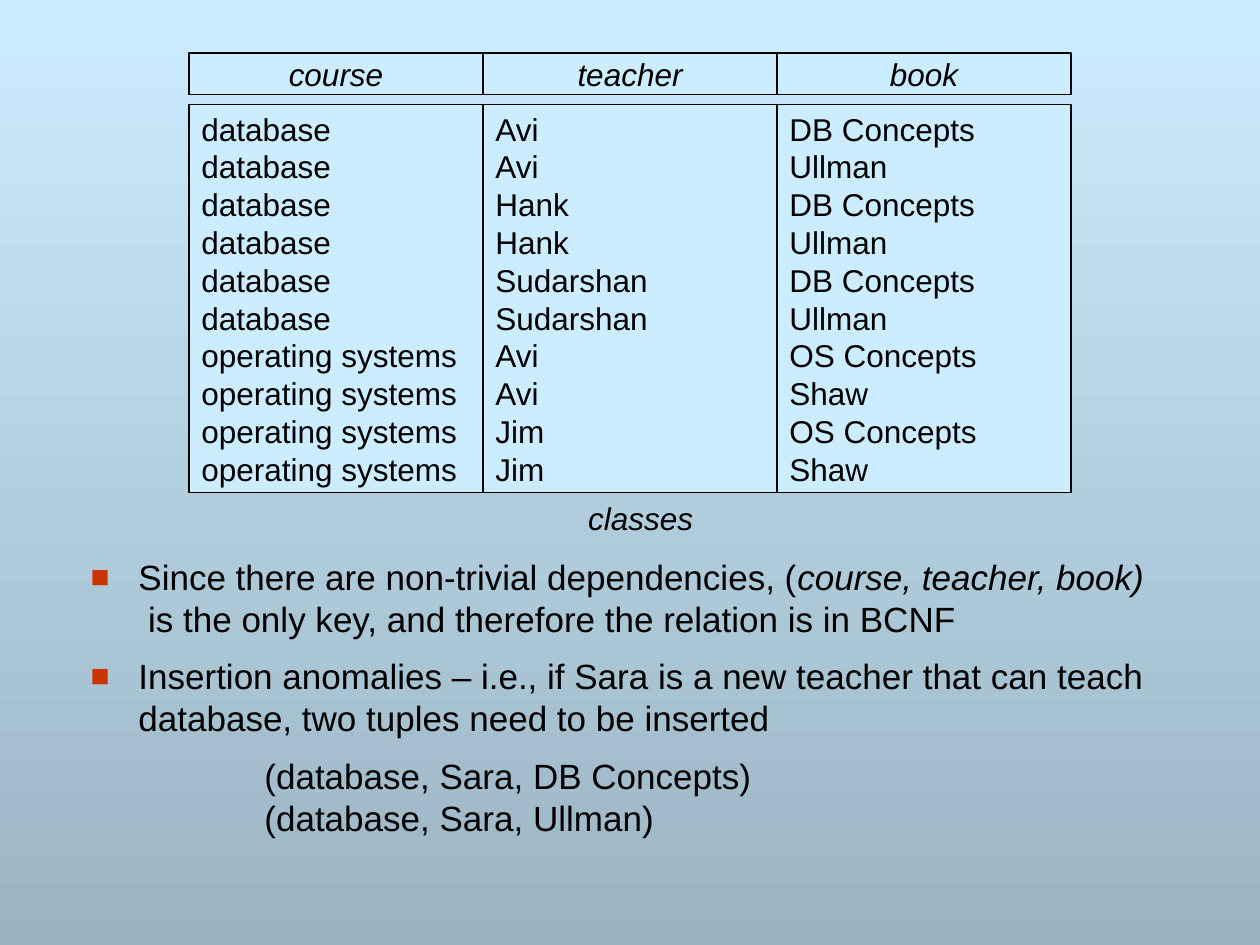
from lxml.etree import SubElement
from pptx import Presentation
from pptx.dml.color import RGBColor as RGB
from pptx.enum.shapes import MSO_SHAPE as Shape
from pptx.enum.text import MSO_ANCHOR as Anchor, PP_ALIGN as Align
from pptx.oxml.ns import qn
from pptx.util import Inches, Pt

THEME = {
    "font": "Arial", "cell": 18, "body": 20,
    "ink": "000000", "pale": "CCECFF", "deep": "9BB4C2", "mark": "CC3300",
}

HEADS = ["course", "teacher", "book"]
DB, OS = "database", "operating systems"
ROWS = [
    (DB, "Avi", "DB Concepts"),
    (DB, "Avi", "Ullman"),
    (DB, "Hank", "DB Concepts"),
    (DB, "Hank", "Ullman"),
    (DB, "Sudarshan", "DB Concepts"),
    (DB, "Sudarshan", "Ullman"),
    (OS, "Avi", "OS Concepts"),
    (OS, "Avi", "Shaw"),
    (OS, "Jim", "OS Concepts"),
    (OS, "Jim", "Shaw"),
]
CAPTION = "classes"

# Each point: whether it has a bullet, then its lines of (text, italic) runs
POINTS = [
    (True, [[("Since there are non-trivial dependencies, (", False),
             ("course, teacher, book) ", True),
             (" is the only key, and therefore the relation is in BCNF", False)]]),
    (True, [[("Insertion anomalies – i.e., if Sara is a new teacher that can "
              "teach database, two tuples need to be inserted", False)]]),
    (False, [[("(database, Sara, DB Concepts)", False)],
             [("(database, Sara, Ullman)", False)]]),
]

LEFT, WIDTH = 1.5, 7 / 3
HEAD_TOP, HEAD_HIGH = 0.42, 0.33
ROWS_TOP, ROWS_HIGH = 0.83, 3.08
HANG, DEEP = 0.38, 1.38


def color(name):
    return RGB.from_string(THEME[name])


def style(run, size, italic=False):
    font = run.font
    font.name, font.size, font.italic = THEME["font"], Pt(THEME[size]), italic
    font.color.rgb = color("ink")


def add_cell(slide, col, top, high, text, head=False):
    box = slide.shapes.add_shape(
        Shape.RECTANGLE, Inches(LEFT + col * WIDTH), Inches(top),
        Inches(WIDTH), Inches(high))
    box.shadow.inherit = False
    box.fill.solid()
    box.fill.fore_color.rgb = color("pale")
    box.line.color.rgb = color("ink")
    box.line.width = Pt(0.75)
    frame = box.text_frame
    frame.word_wrap = True
    frame.vertical_anchor = Anchor.MIDDLE
    frame.text = text
    for para in frame.paragraphs:
        para.alignment = Align.CENTER if head else Align.LEFT
        style(para.runs[0], "cell", head)


def indent(para, bullet):
    props = para._p.get_or_add_pPr()
    props.set("marL", str(Inches(HANG if bullet else DEEP)))
    props.set("indent", str(Inches(-HANG if bullet else 0)))
    if bullet:
        tint = SubElement(props, qn("a:buClr"))
        SubElement(tint, qn("a:srgbClr"), val=THEME["mark"])
        SubElement(props, qn("a:buSzPct"), val="90000")
        SubElement(props, qn("a:buFont"), typeface=THEME["font"])
        SubElement(props, qn("a:buChar"), char="■")


def add_points(slide):
    box = slide.shapes.add_textbox(
        Inches(0.62), Inches(4.36), Inches(8.58), Inches(2.53))
    frame = box.text_frame
    frame.word_wrap = True
    for i, (bullet, lines) in enumerate(POINTS):
        para = frame.add_paragraph() if i else frame.paragraphs[0]
        para.space_before = Pt(8.8)
        indent(para, bullet)
        for j, runs in enumerate(lines):
            if j:
                para.add_line_break()
            for text, italic in runs:
                run = para.add_run()
                run.text = text
                style(run, "body", italic)


def add_label(slide):
    wide = 1.1
    box = slide.shapes.add_textbox(
        Inches(4.57), Inches(ROWS_TOP + ROWS_HIGH), Inches(wide), Inches(0.4))
    frame = box.text_frame
    frame.word_wrap = True
    frame.text = CAPTION
    style(frame.paragraphs[0].runs[0], "cell", italic=True)


def main():
    deck = Presentation()
    deck.slide_width, deck.slide_height = Inches(10), Inches(7.5)
    slide = deck.slides.add_slide(deck.slide_layouts[6])

    fill = slide.background.fill
    fill.gradient()
    fill.gradient_angle = 270
    for stop, name in zip(fill.gradient_stops, ("pale", "deep")):
        stop.color.rgb = color(name)

    add_points(slide)
    for col, head in enumerate(HEADS):
        add_cell(slide, col, HEAD_TOP, HEAD_HIGH, head, head=True)
    for col, items in enumerate(zip(*ROWS)):
        add_cell(slide, col, ROWS_TOP, ROWS_HIGH, "\n".join(items))
    add_label(slide)

    deck.save("out.pptx")


if __name__ == "__main__":
    main()
